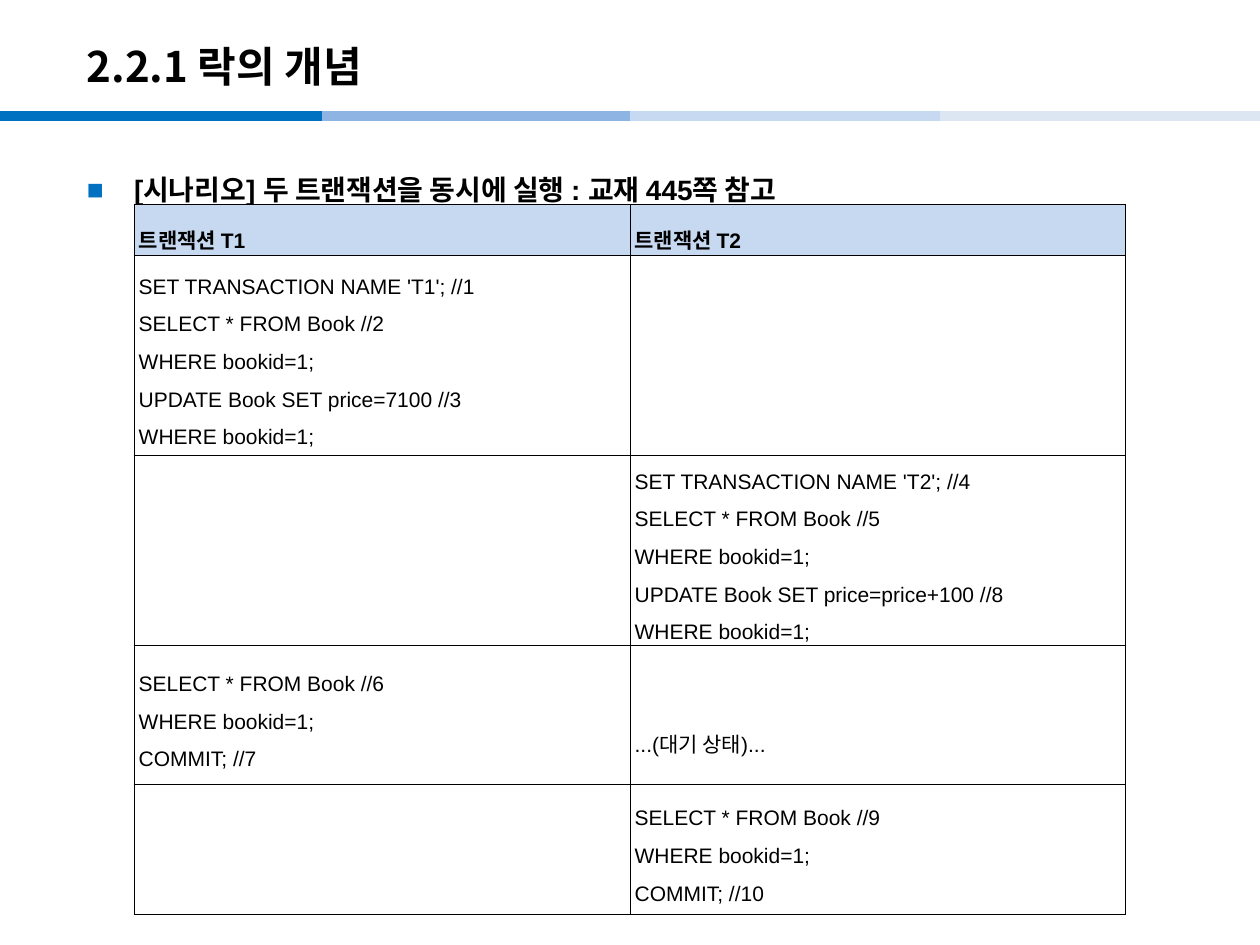
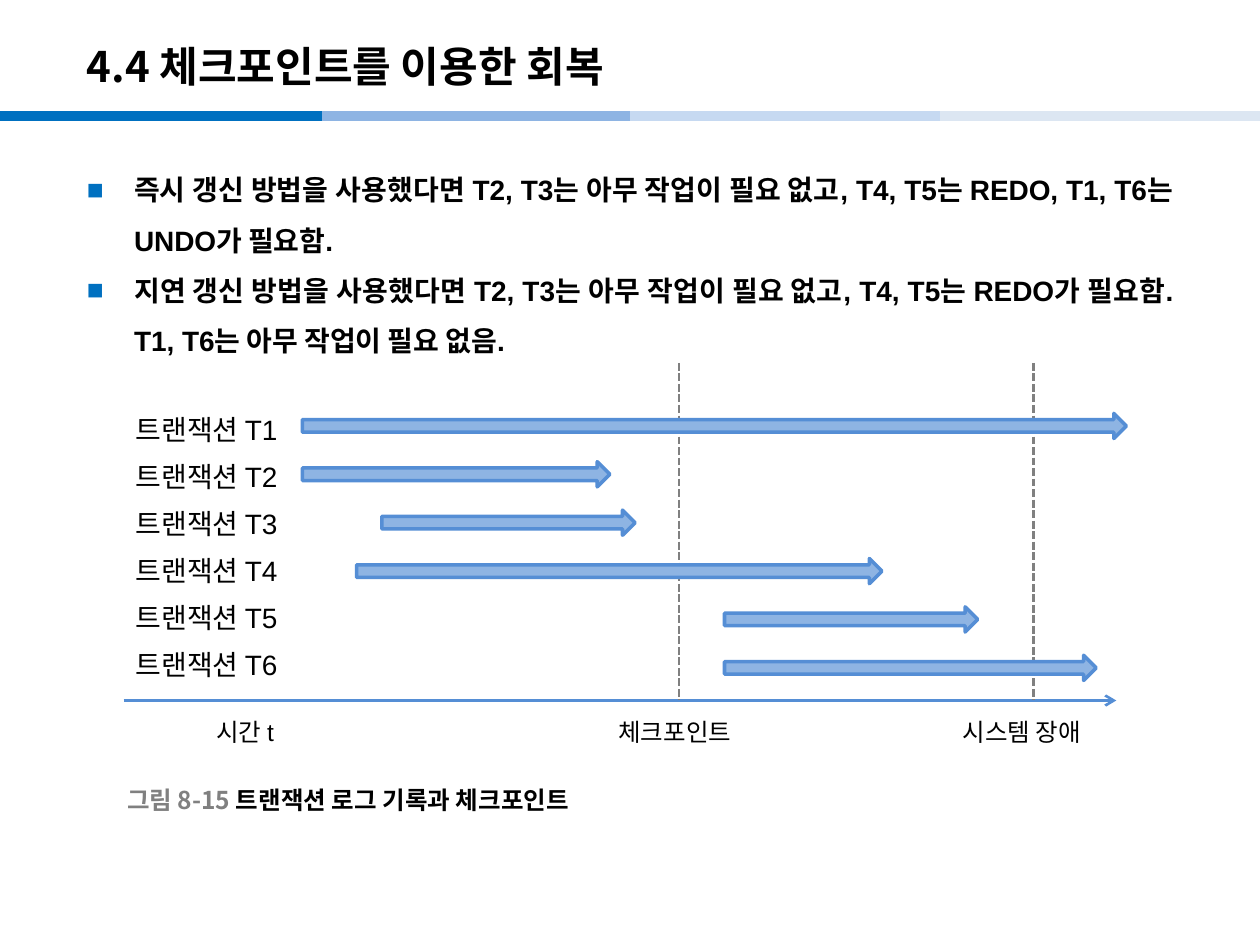
import pptx
import pptx.util
import pptx.dml.color
import pptx.enum.dml
import pptx.enum.shapes
import pptx.enum.text
import pptx.oxml.ns
from dataclasses import dataclass
from lxml import etree

Pt = pptx.util.Pt
RGB = pptx.dml.color.RGBColor.from_string
SHAPES = pptx.enum.shapes.MSO_SHAPE
ALIGN = pptx.enum.text.PP_ALIGN
ANCHOR = pptx.enum.text.MSO_ANCHOR
FIT = pptx.enum.text.MSO_AUTO_SIZE
DASH = pptx.enum.dml.MSO_LINE


@dataclass(frozen=True)
class Theme:
    text: str = "000000"
    accent: str = "0070C0"
    bar: str = "8EB4E3"
    header: str = "C6D9F1"
    pale: str = "DCE6F2"
    outline: str = "558ED5"
    muted: str = "808080"
    latin: str = "Arial"
    korean: str = "Noto Sans CJK KR"
    title: int = 24
    body: int = 16
    label: int = 14
    cell: int = 12


THEME = Theme()


def add_xml(parent, tag, **attributes):
    values = {name: str(value) for name, value in attributes.items()}
    return etree.SubElement(parent, pptx.oxml.ns.qn(tag), values)


class Deck:
    """Holds the style and the slide being built."""

    def __init__(self, theme):
        self.theme = theme
        self.presentation = pptx.Presentation()
        self.presentation.slide_width = Pt(720)
        self.presentation.slide_height = Pt(540)
        self.slide = None

    def new_slide(self, title):
        self.slide = self.presentation.slides.add_slide(self.presentation.slide_layouts[6])
        # Colour band under the title
        theme = self.theme
        bands = [(0, theme.accent), (184.3, theme.bar), (360, theme.header), (537, theme.pale)]
        for left, color in bands:
            self.line((left, 66.2), (left + 184.3, 66.2), color, 6)
        self.text((42.5, 15.8, 595.5, 43.2), [title], theme.title, font=theme.korean,
                  bold=True, anchor=ANCHOR.MIDDLE)

    def add_words(self, paragraph, text, size, color=None, font=None, bold=False):
        run = paragraph.add_run()
        run.text = text
        formats = {"name": font or self.theme.latin, "size": Pt(size), "bold": bold}
        for name, value in formats.items():
            setattr(run.font, name, value)
        run.font.color.rgb = RGB(color or self.theme.text)
        add_xml(run._r.get_or_add_rPr(), "a:ea", typeface=self.theme.korean)

    def text(self, box, lines, size, spacing=None, align=None, bullet=False,
             wrap=True, anchor=ANCHOR.TOP, fit=FIT.NONE, **style):
        frame = self.slide.shapes.add_textbox(*map(Pt, box)).text_frame
        formats = {"word_wrap": wrap, "vertical_anchor": anchor, "auto_size": fit}
        for name, value in formats.items():
            setattr(frame, name, value)
        self.fill_paragraphs(frame, lines, size, spacing, align, bullet, **style)
        return frame

    def fill_paragraphs(self, frame, lines, size, spacing, align, bullet=False, **style):
        for index, line in enumerate(lines):
            paragraph = frame.add_paragraph() if index else frame.paragraphs[0]
            paragraph.line_spacing = spacing
            paragraph.alignment = align
            if bullet:
                self.bullet(paragraph)
            self.add_words(paragraph, line, size, **style)

    def bullet(self, paragraph):
        properties = paragraph._p.get_or_add_pPr()
        properties.set("marL", str(Pt(27)))
        properties.set("indent", str(Pt(-27)))
        color = add_xml(properties, "a:buClr")
        add_xml(color, "a:srgbClr", val=self.theme.accent)
        add_xml(properties, "a:buFont", typeface=self.theme.latin)
        add_xml(properties, "a:buChar", char="■")

    def body(self, lines, align=None):
        self.text((42.5, 85.7, 635, 430.6), lines, self.theme.body, spacing=1.5,
                  align=align, bullet=True, bold=True)

    def line(self, start, end, color, width, dash=None, arrow=False):
        connector = self.slide.shapes.add_connector(
            pptx.enum.shapes.MSO_CONNECTOR.STRAIGHT, *map(Pt, start + end))
        connector.line.color.rgb = RGB(color)
        connector.line.width = Pt(width)
        if dash:
            connector.line.dash_style = dash
        if arrow:
            add_xml(connector.line._get_or_add_ln(), "a:tailEnd", type="arrow")
        add_xml(connector._element.spPr, "a:effectLst")

    def bar_arrow(self, left, top, width, height):
        arrow = self.slide.shapes.add_shape(
            SHAPES.RIGHT_ARROW, *map(Pt, (left, top, width, height)))
        arrow.shadow.inherit = False
        arrow.fill.solid()
        arrow.fill.fore_color.rgb = RGB(self.theme.bar)
        arrow.line.color.rgb = RGB(self.theme.outline)
        arrow.line.width = Pt(2)

    def table(self, left, top, column_width, heights, rows):
        columns = len(rows[0])
        table = self.slide.shapes.add_table(
            len(rows), columns, Pt(left), Pt(top),
            Pt(column_width * columns), Pt(sum(heights))).table
        for column in table.columns:
            column.width = Pt(column_width)
        for index, (height, texts) in enumerate(zip(heights, rows)):
            table.rows[index].height = Pt(height)
            for column, text in enumerate(texts):
                self.cell(table.cell(index, column), text, header=index == 0)
        return table

    def cell(self, cell, text, header):
        margins = {"margin_left": 2.8, "margin_right": 2.8, "margin_top": 0.8, "margin_bottom": 0.8}
        for name, value in margins.items():
            setattr(cell, name, Pt(value))
        cell.vertical_anchor = ANCHOR.MIDDLE
        properties = cell._tc.get_or_add_tcPr()
        for side in ("a:lnL", "a:lnR", "a:lnT", "a:lnB"):
            border = add_xml(properties, side, w=Pt(0.28))
            add_xml(add_xml(border, "a:solidFill"), "a:srgbClr", val=self.theme.text)
        if header:
            cell.fill.solid()
            cell.fill.fore_color.rgb = RGB(self.theme.header)
        else:
            cell.fill.background()
        if text:
            self.fill_paragraphs(cell.text_frame, text.split("\n"), self.theme.cell,
                                 1.6, ALIGN.JUSTIFY, bold=header)


def lock_scenario(deck):
    deck.new_slide("2.2.1 락의 개념")
    deck.body(["[시나리오] 두 트랜잭션을 동시에 실행 : 교재 445쪽 참고"])

    # Steps of the two transactions, in order of time
    where = "\nWHERE bookid=1;"
    steps = [
        ("트랜잭션 T1", "트랜잭션 T2"),
        (f"SET TRANSACTION NAME 'T1'; //1\nSELECT * FROM Book //2{where}"
         f"\nUPDATE Book SET price=7100 //3{where}", ""),
        ("", f"SET TRANSACTION NAME 'T2'; //4\nSELECT * FROM Book //5{where}"
             f"\nUPDATE Book SET price=price+100 //8{where}"),
        (f"SELECT * FROM Book //6{where}\nCOMMIT; //7", "...(대기 상태)..."),
        ("", f"SELECT * FROM Book //9{where}\nCOMMIT; //10"),
    ]
    schedule = deck.table(76.5, 116.6, 283.4, [29.5, 113.8, 101.5, 79.2, 74.2], steps)
    schedule.cell(3, 1).margin_top = Pt(22.8)


def checkpoint_recovery(deck):
    theme = deck.theme
    deck.new_slide("4.4 체크포인트를 이용한 회복")
    deck.body([
        "즉시 갱신 방법을 사용했다면 T2, T3는 아무 작업이 필요 없고, T4, T5는 REDO, T1, T6는 UNDO가 필요함.",
        "지연 갱신 방법을 사용했다면 T2, T3는 아무 작업이 필요 없고, T4, T5는 REDO가 필요함. "
        "T1, T6는 아무 작업이 필요 없음.",
    ], align=ALIGN.JUSTIFY)

    # Transaction names, time axis and event marks
    spans = [(172.8, 470.9), (172.8, 175.7), (218.2, 144.7),
             (203.8, 300.2), (414, 144.7), (414, 212.4)]
    names = [f"트랜잭션 T{number}" for number in range(1, len(spans) + 1)]
    deck.text((70.6, 224.6, 360, 167), names, theme.body, spacing=1.4, fit=FIT.SHAPE_TO_FIT_TEXT)
    axis = 400.3
    deck.line((70.6, axis), (637.9, axis), theme.outline, 1.5, arrow=True)
    for event in (388.1, 590.4):
        deck.line((event, 207.4), (event, axis), theme.muted, 1.5, dash=DASH.SQUARE_DOT)

    # Duration of each transaction
    for index, (start, duration) in enumerate(spans):
        deck.bar_arrow(start, 236.2 + 27.65 * index, duration, 14.4)

    # Axis labels and caption
    for left, width, label in [(116.6, 52.6, "시간 t"), (346.3, 85, "체크포인트"),
                               (542.9, 90, "시스템 장애")]:
        deck.text((left, 406.1, width, 24.5), [label], theme.label,
                  wrap=False, fit=FIT.SHAPE_TO_FIT_TEXT)
    caption = deck.text((65.5, 445.7, 147.6, 22.3), ["그림 8-15 "], theme.label, wrap=False,
                        anchor=ANCHOR.MIDDLE, color=theme.muted, font=theme.korean, bold=True)
    deck.add_words(caption.paragraphs[0], "트랜잭션 로그 기록과 체크포인트", theme.label,
                   font=theme.korean, bold=True)


def main():
    deck = Deck(THEME)
    lock_scenario(deck)
    checkpoint_recovery(deck)
    deck.presentation.save("out.pptx")


if __name__ == "__main__":
    main()
